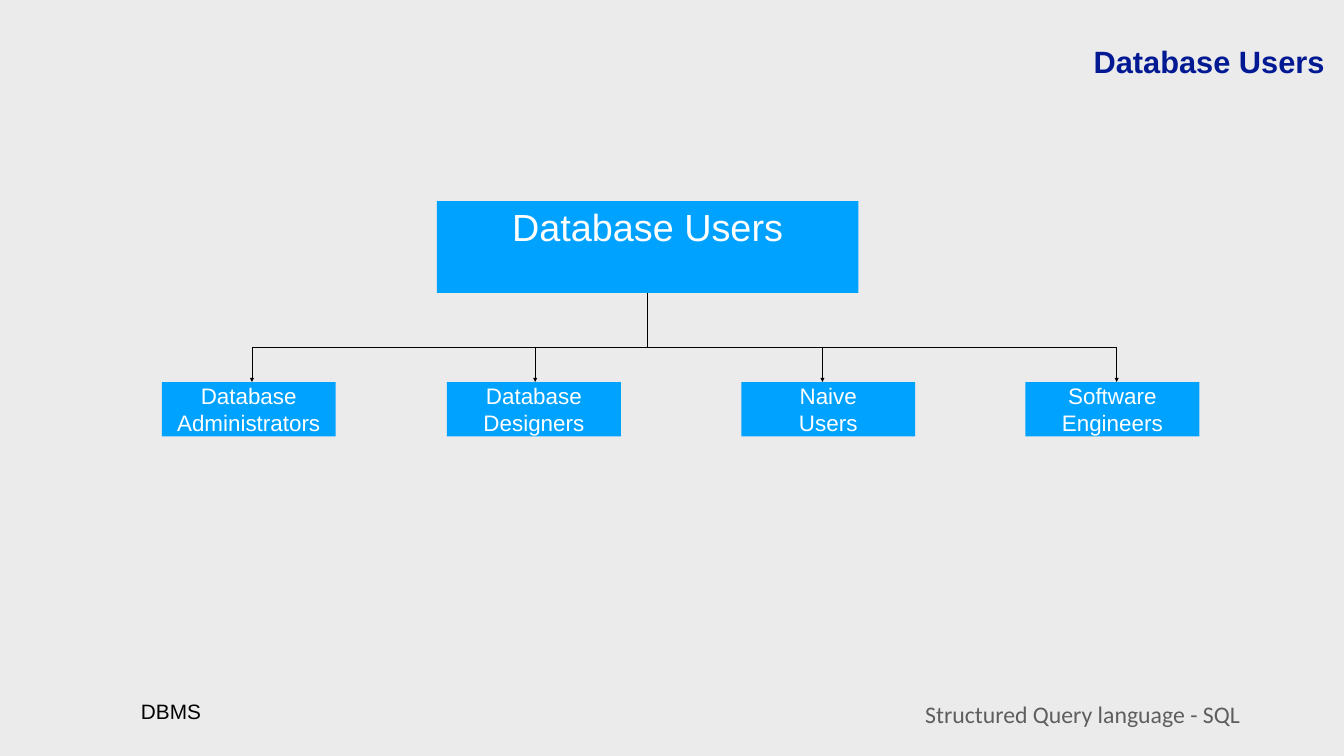
from dataclasses import dataclass

from lxml.etree import SubElement
from pptx import Presentation
from pptx.dml.color import RGBColor
from pptx.enum.shapes import MSO_CONNECTOR, MSO_SHAPE
from pptx.enum.text import MSO_ANCHOR, PP_ALIGN
from pptx.oxml.ns import qn
from pptx.slide import Slide
from pptx.util import Inches, Pt

WIDTH, HEIGHT = Inches(26.67), Inches(15)
COLORS = {
    "background": "EBEBEB",
    "box": "00A2FF",
    "title": "011993",
    "footer": "5E5E5E",
    "black": "000000",
    "white": "FFFFFF",
}


def color(name):
    return RGBColor.from_string(COLORS[name])


def across(percent):
    return round(WIDTH * percent / 100)


def down(percent):
    return round(HEIGHT * percent / 100)


def write(shape, text, size, ink, font="Arial", bold=False, align=PP_ALIGN.CENTER,
          anchor=MSO_ANCHOR.MIDDLE, inset=0.0, spacing=None):
    """Fill a shape with text, one paragraph per line."""
    frame = shape.text_frame
    frame.word_wrap = True
    frame.vertical_anchor = anchor
    frame.margin_left = frame.margin_right = Inches(inset)
    frame.margin_top = frame.margin_bottom = Inches(inset)
    frame.text = text
    for paragraph in frame.paragraphs:
        paragraph.alignment = align
        paragraph.line_spacing = spacing
        paragraph.font.name = font
        paragraph.font.size = Pt(size)
        paragraph.font.bold = bold
        paragraph.font.color.rgb = color(ink)


@dataclass
class Chart:
    """Draws on one slide; all lengths are percentages of its size."""
    slide: Slide
    line_width: float = 0.75

    def label(self, text, left, top, width, height, **style):
        shape = self.slide.shapes.add_textbox(
            across(left), down(top), across(width), down(height))
        write(shape, text, inset=0.06, **style)

    def box(self, text, left, top, width, height, fill="box", **style):
        shape = self.slide.shapes.add_shape(
            MSO_SHAPE.RECTANGLE, across(left), down(top), across(width), down(height))
        shape.shadow.inherit = False
        shape.fill.solid()
        shape.fill.fore_color.rgb = color(fill)
        shape.line.fill.background()
        write(shape, text, **style)

    def line(self, start, end, arrow=False):
        connector = self.slide.shapes.add_connector(
            MSO_CONNECTOR.STRAIGHT, across(start[0]), down(start[1]),
            across(end[0]), down(end[1]))
        connector.line.color.rgb = color("black")
        connector.line.width = Pt(self.line_width)
        properties = connector.element.spPr
        if arrow:
            SubElement(properties.find(qn("a:ln")), qn("a:tailEnd"), type="triangle")
        SubElement(properties, qn("a:effectLst"))


def main():
    presentation = Presentation()
    presentation.slide_width, presentation.slide_height = WIDTH, HEIGHT
    slide = presentation.slides.add_slide(presentation.slide_layouts[6])
    slide.background.fill.solid()
    slide.background.fill.fore_color.rgb = color("background")
    chart = Chart(slide)

    chart.label("DBMS", 3.3, 92.6, 18.86, 3.73, size=29.7, ink="black",
                anchor=MSO_ANCHOR.TOP, spacing=0.8)
    chart.label("Database Users", 36.48, 5.2, 62.32, 5.67, size=44, ink="title",
                bold=True, align=PP_ALIGN.RIGHT)
    chart.box("Structured Query language - SQL", 62.24, 91.73, 36.63, 5.53,
              fill="background", size=34, ink="footer", font="Calibri")

    root_top, root_height = 26.6, 12.13
    branch_row, user_row = 45.87, 50.53
    chart.box("Database Users", 32.51, root_top, 31.35, root_height, size=54,
              ink="white", anchor=MSO_ANCHOR.TOP, inset=0.05)

    # Text, left edge of the box, position of its arrow
    users = [
        ("Database Administrators", 12.04, 18.75),
        ("Database Designers", 33.26, 39.82),
        ("Naive\nUsers", 55.16, 61.19),
        ("Software Engineers", 76.3, 83.09),
    ]
    for text, left, _ in users:
        chart.box(text, left, user_row, 12.94, 7.2, size=32, ink="white")

    trunk = 48.18
    chart.line((trunk, root_top + root_height), (trunk, branch_row))
    chart.line((users[0][2], branch_row), (users[-1][2], branch_row))
    for _, _, arrow in users:
        chart.line((arrow, branch_row), (arrow, user_row), arrow=True)

    presentation.save("out.pptx")


if __name__ == "__main__":
    main()
